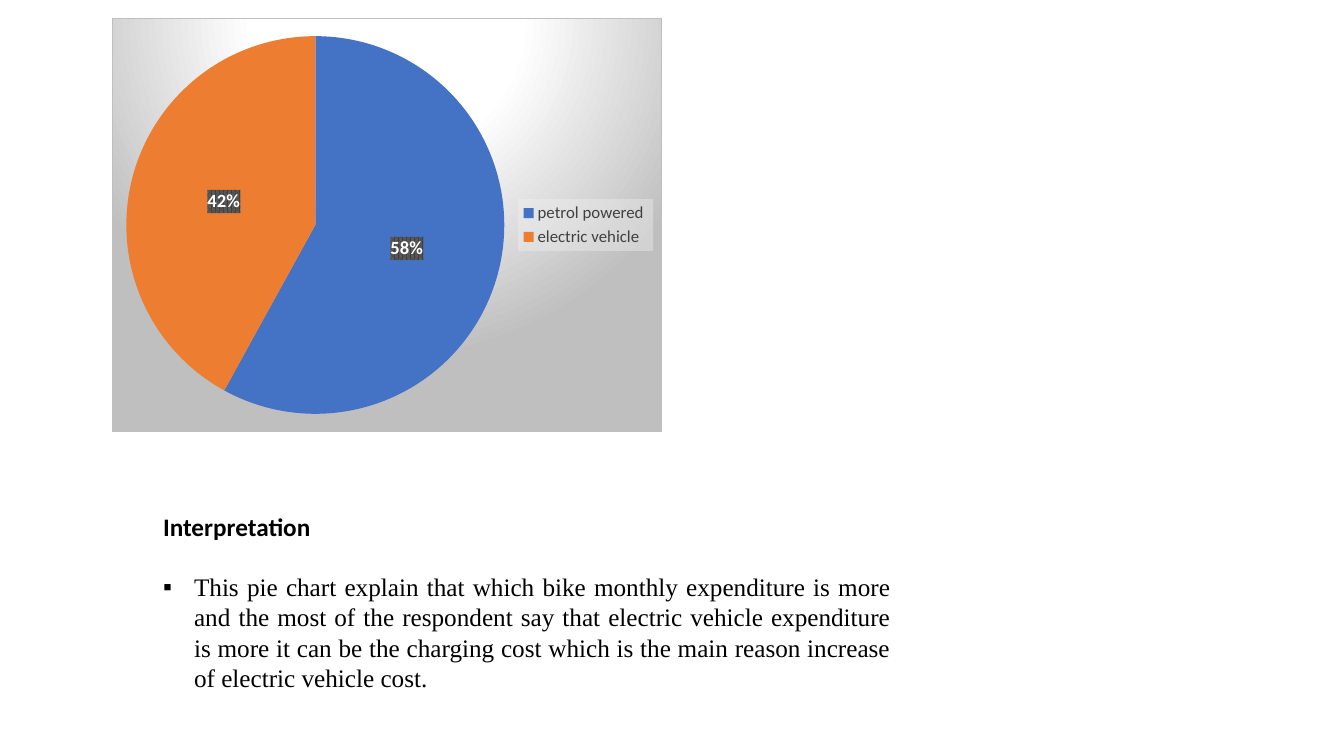
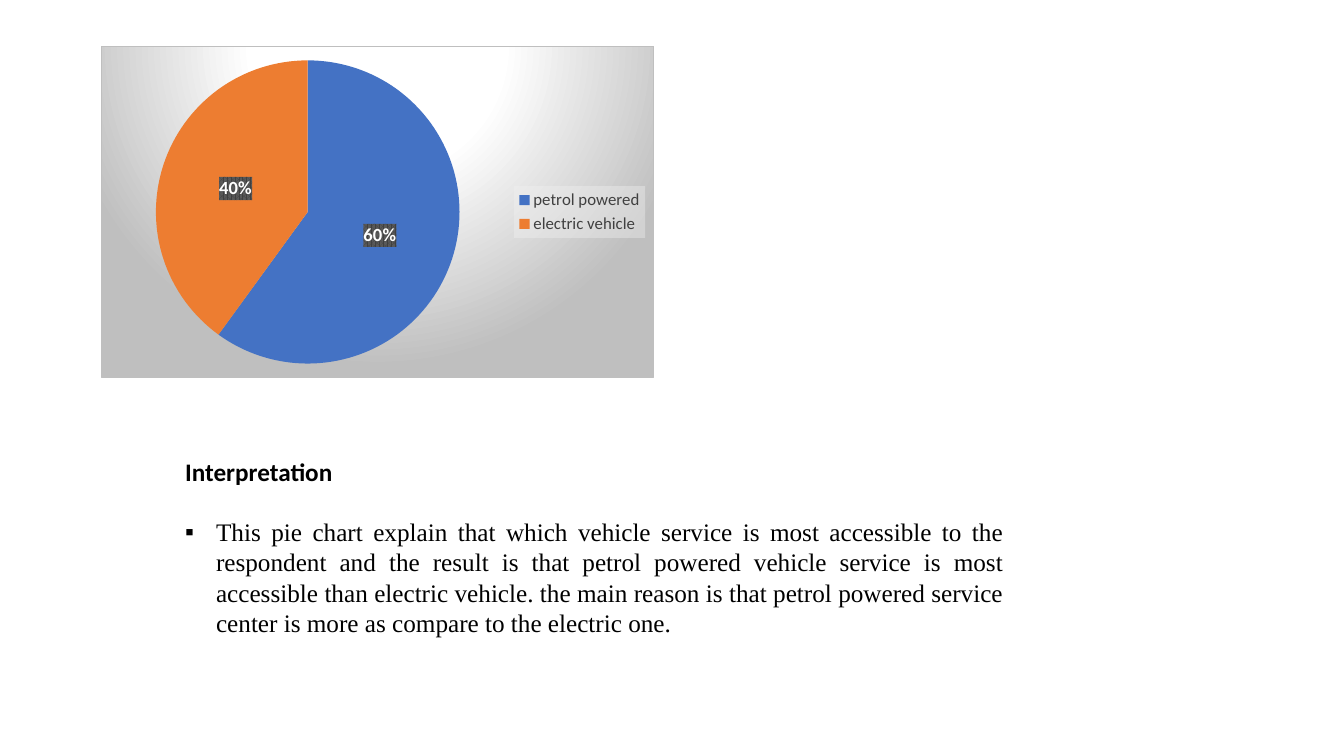
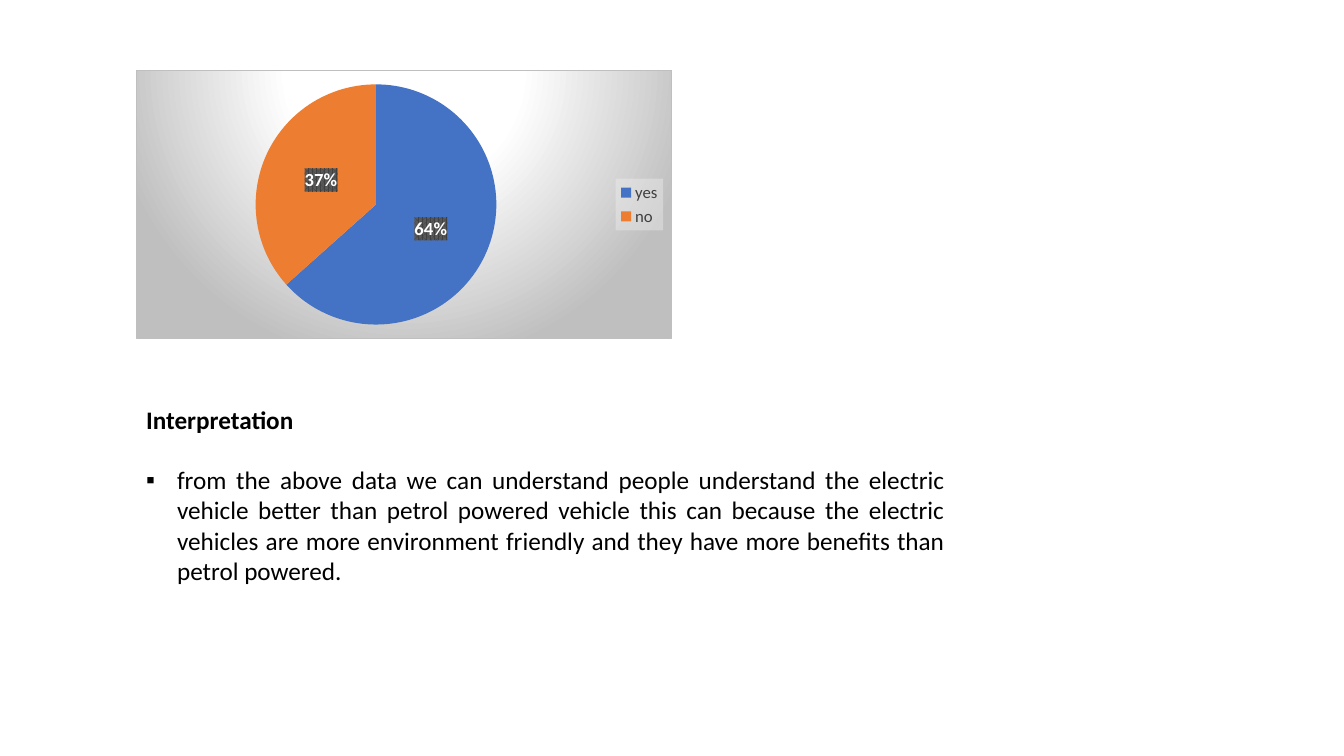
from dataclasses import dataclass

import lxml.etree
import pptx
import pptx.chart.chart
import pptx.chart.data
import pptx.dml.color
import pptx.enum.chart
import pptx.enum.text
import pptx.oxml
import pptx.oxml.ns
import pptx.slide
import pptx.text.text
import pptx.util


# Theme
@dataclass(frozen=True)
class Theme:
    ink: str = "000000"
    legend_ink: str = "404040"
    legend_back: str = "F2F2F2"
    label_ink: str = "FFFFFF"
    label_dots: str = "404040"
    label_back: str = "595959"
    panel_light: str = "FFFFFF"
    panel_dark: str = "BFBFBF"
    slices: tuple[str, ...] = ("4472C4", "ED7D31")
    sans: str = "Calibri"
    serif: str = "Times New Roman"
    text_size: float = 18
    heading_gap: float = 21.5
    chart_size: float = 10
    legend_size: float = 12
    label_size: float = 13.3
    bullet_indent: int = 31


THEME = Theme()
EMU_PER_PIXEL = 914400 / 100.8
NAMESPACES = pptx.oxml.ns.nsdecls("a", "c")


@dataclass(frozen=True)
class Box:
    left: int
    top: int
    width: int
    height: int

    def emu(self) -> tuple[pptx.util.Emu, ...]:
        return tuple(px(n) for n in (self.left, self.top, self.width, self.height))


@dataclass(frozen=True)
class SurveyResult:
    pie_box: Box
    answers: dict[str, int]  # per cent
    text_box: Box
    finding: str
    finding_font: str


RESULTS = (
    SurveyResult(
        Box(112, 18, 550, 414),
        {"petrol powered ": 58, "electric vehicle": 42},
        Box(153, 506, 748, 224),
        "This pie chart explain that which bike monthly expenditure is more and "
        "the most of the respondent say that electric vehicle expenditure is more "
        "it can be the charging cost which is the main reason increase of electric "
        "vehicle cost.",
        THEME.serif,
    ),
    SurveyResult(
        Box(101, 46, 553, 332),
        {"petrol powered": 60, "electric vehicle": 40},
        Box(175, 451, 839, 224),
        "This pie chart explain that which vehicle service is most accessible to "
        "the respondent and the result is that petrol powered vehicle service is "
        "most accessible than electric vehicle. the main reason is that petrol "
        "powered service center is more as compare to the electric one.",
        THEME.serif,
    ),
    SurveyResult(
        Box(136, 70, 536, 269),
        {"yes": 64, "no": 37},
        Box(136, 399, 819, 194),
        "from the above data we can understand people understand the electric "
        "vehicle better than petrol powered vehicle this can because the electric "
        "vehicles are more environment friendly and they have more benefits than "
        "petrol powered.",
        THEME.sans,
    ),
)


# Helpers
def px(pixels: int) -> pptx.util.Emu:
    return pptx.util.Emu(round(pixels * EMU_PER_PIXEL))


def rgb(color: str) -> pptx.dml.color.RGBColor:
    return pptx.dml.color.RGBColor.from_string(color)


def style_font(font: pptx.text.text.Font, *, size: float, color: str,
               name: str = THEME.sans, bold: bool = False) -> None:
    font.size = pptx.util.Pt(size)
    font.color.rgb = rgb(color)
    font.name = name
    font.bold = bold


def write_text(paragraph, text: str, *, font: str = THEME.sans, bold: bool = False,
               space_after: float = 0, bullet: str = "",
               align=pptx.enum.text.PP_ALIGN.LEFT) -> None:
    run = paragraph.add_run()
    run.text = text
    style_font(run.font, size=THEME.text_size, color=THEME.ink, name=font, bold=bold)
    paragraph.alignment = align
    paragraph.line_spacing = 1.0
    paragraph.space_before = pptx.util.Pt(0)
    paragraph.space_after = pptx.util.Pt(space_after)
    indent = px(THEME.bullet_indent) if bullet else 0
    properties = paragraph._p.get_or_add_pPr()
    properties.set("marL", str(indent))
    properties.set("indent", str(-indent))
    if bullet:
        bullet_font = lxml.etree.SubElement(properties, pptx.oxml.ns.qn("a:buFont"))
        bullet_font.set("typeface", "Arial")
        mark = lxml.etree.SubElement(properties, pptx.oxml.ns.qn("a:buChar"))
        mark.set("char", bullet)
    else:
        lxml.etree.SubElement(properties, pptx.oxml.ns.qn("a:buNone"))


def set_background(chart_part, fill_xml: str) -> None:
    """Put shape properties before the text properties of a chart part."""
    properties = pptx.oxml.parse_xml(f"<c:spPr {NAMESPACES}>{fill_xml}</c:spPr>")
    chart_part.find(pptx.oxml.ns.qn("c:txPr")).addprevious(properties)


def color_xml(color: str) -> str:
    return f'<a:srgbClr val="{color}"/>'


PANEL_FILL = (
    '<a:gradFill><a:gsLst>'
    f'<a:gs pos="0">{color_xml(THEME.panel_light)}</a:gs>'
    f'<a:gs pos="39000">{color_xml(THEME.panel_light)}</a:gs>'
    f'<a:gs pos="100000">{color_xml(THEME.panel_dark)}</a:gs></a:gsLst>'
    '<a:path path="circle">'
    '<a:fillToRect l="50000" t="-80000" r="50000" b="180000"/></a:path></a:gradFill>'
    f'<a:ln w="9525"><a:solidFill>{color_xml(THEME.panel_dark)}</a:solidFill></a:ln>'
)
LEGEND_FILL = (
    f'<a:solidFill><a:srgbClr val="{THEME.legend_back}"><a:alpha val="39000"/>'
    '</a:srgbClr></a:solidFill>'
)
LABEL_FILL = (
    f'<a:pattFill prst="pct75"><a:fgClr>{color_xml(THEME.label_dots)}</a:fgClr>'
    f'<a:bgClr>{color_xml(THEME.label_back)}</a:bgClr></a:pattFill>'
)


# Slide parts
def style_pie(chart: pptx.chart.chart.Chart) -> None:
    chart.has_title = False
    style_font(chart.font, size=THEME.chart_size, color=THEME.ink)
    set_background(chart._chartSpace, PANEL_FILL)
    corners = pptx.oxml.parse_xml(f'<c:roundedCorners {NAMESPACES} val="0"/>')
    chart._chartSpace.find(pptx.oxml.ns.qn("c:chart")).addprevious(corners)

    chart.has_legend = True
    legend = chart.legend
    legend.position = pptx.enum.chart.XL_LEGEND_POSITION.RIGHT
    legend.include_in_layout = False
    style_font(legend.font, size=THEME.legend_size, color=THEME.legend_ink)
    set_background(legend._element, LEGEND_FILL)

    pie = chart.plots[0]
    pie.vary_by_categories = True
    for index, color in enumerate(THEME.slices):
        slice_fill = pie.series[0].points[index].format.fill
        slice_fill.solid()
        slice_fill.fore_color.rgb = rgb(color)

    # The answers are rounded per cents and may add up to 101
    labels = pie.series[0].data_labels
    labels.show_value = True
    labels.show_percentage = False
    labels.number_format = '0"%"'
    labels.number_format_is_linked = False
    labels.position = pptx.enum.chart.XL_LABEL_POSITION.CENTER
    style_font(labels.font, size=THEME.label_size, color=THEME.label_ink, bold=True)
    set_background(labels._element, LABEL_FILL)


def add_pie(slide: pptx.slide.Slide, result: SurveyResult) -> None:
    data = pptx.chart.data.CategoryChartData()
    data.categories = list(result.answers)
    data.add_series("Series 1", list(result.answers.values()))
    frame = slide.shapes.add_chart(
        pptx.enum.chart.XL_CHART_TYPE.PIE, *result.pie_box.emu(), data)
    style_pie(frame.chart)


def fill_interpretation(slide: pptx.slide.Slide, result: SurveyResult) -> None:
    body = slide.placeholders[1]
    body.left, body.top, body.width, body.height = result.text_box.emu()
    frame = body.text_frame
    frame.word_wrap = True
    frame.auto_size = pptx.enum.text.MSO_AUTO_SIZE.SHAPE_TO_FIT_TEXT
    frame.vertical_anchor = pptx.enum.text.MSO_ANCHOR.TOP
    write_text(frame.paragraphs[0], "Interpretation", bold=True,
               space_after=THEME.heading_gap)
    write_text(frame.add_paragraph(), result.finding, font=result.finding_font,
               bullet="▪", align=pptx.enum.text.PP_ALIGN.JUSTIFY)


# Presentation
deck = pptx.Presentation()
deck.slide_width, deck.slide_height = px(1344), px(756)
for result in RESULTS:
    slide = deck.slides.add_slide(deck.slide_layouts[1])
    unused_title = slide.shapes.title._element
    unused_title.getparent().remove(unused_title)
    add_pie(slide, result)
    fill_interpretation(slide, result)
deck.save("out.pptx")
